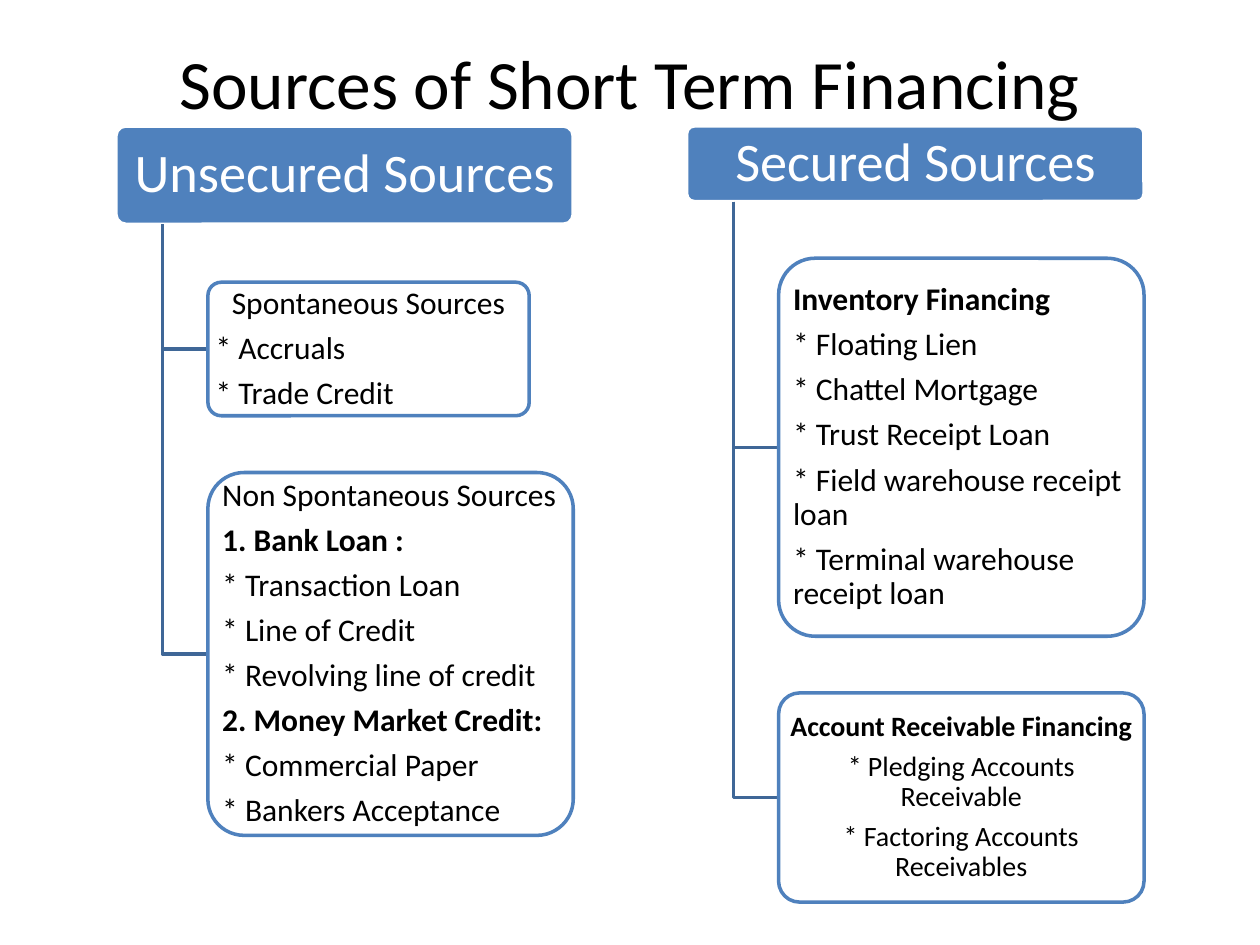
from dataclasses import dataclass

from lxml import etree
from pptx import Presentation
from pptx import util as u
from pptx.dml.color import RGBColor
from pptx.enum import shapes, text
from pptx.oxml.ns import qn


@dataclass(frozen=True)
class Theme:
    """Colours, type sizes and spacing of the slide."""
    font: str = "Calibri"
    ink: str = "000000"
    paper: str = "FFFFFF"
    accent: str = "4F81BD"
    branch: str = "3F6797"
    title_size: float = 39.6
    header_size: float = 31
    item_size: float = 18
    small_size: float = 16
    line_width: float = 2
    corner: float = 0.1
    space_after: float = 0.35
    header_inset: float = 0.06
    source_inset: float = 0.03
    gap: float = 0.45
    trunk_indent: float = 0.37
    box_indent: float = 0.73


THEME = Theme()
LEFT, CENTER = text.PP_ALIGN.LEFT, text.PP_ALIGN.CENTER

UNSECURED = [
    dict(width=2.55, height=1.06, size=THEME.item_size,
         aligns=[CENTER, LEFT, LEFT], bold=(),
         lines=["Spontaneous Sources", "* Accruals", "* Trade Credit"]),
    dict(width=2.9, height=2.88, size=THEME.item_size,
         aligns=[LEFT] * 8, bold=(1, 5),
         lines=["Non Spontaneous Sources", "1. Bank Loan :", "* Transaction Loan",
                "* Line of Credit", "* Revolving line of credit",
                "2. Money Market Credit:", "* Commercial Paper", "* Bankers Acceptance"]),
]
SECURED = [
    dict(width=2.9, height=3, size=THEME.item_size,
         aligns=[LEFT] * 6, bold=(0,),
         lines=["Inventory Financing", "* Floating Lien", "* Chattel Mortgage",
                "* Trust Receipt Loan", "* Field warehouse receipt loan",
                "* Terminal warehouse receipt loan"]),
    dict(width=2.9, height=1.66, size=THEME.small_size,
         aligns=[CENTER] * 3, bold=(0,),
         lines=["Account Receivable Financing", "* Pledging Accounts Receivable",
                "* Factoring Accounts Receivables"]),
]


def set_all(target, values):
    """Set every attribute in values on target."""
    for name, value in values.items():
        setattr(target, name, value)


def write_lines(frame, lines, size, color, aligns, bold=(), inset=0.0, spacing=0.9):
    """Fill a text frame with one paragraph for each line."""
    side, end = u.Inches(inset), u.Inches(max(inset - 0.01, 0))
    set_all(frame, dict(word_wrap=True, vertical_anchor=text.MSO_ANCHOR.MIDDLE,
                        margin_left=side, margin_right=side,
                        margin_top=end, margin_bottom=end))
    for index, (line, align) in enumerate(zip(lines, aligns)):
        paragraph = frame.paragraphs[0] if index == 0 else frame.add_paragraph()
        after = u.Pt(size * THEME.space_after) if index < len(lines) - 1 else u.Pt(0)
        set_all(paragraph, dict(alignment=align, line_spacing=spacing, space_after=after))
        run = paragraph.add_run()
        run.text = line
        set_all(run.font, dict(name=THEME.font, size=u.Pt(size), bold=index in bold))
        run.font.color.rgb = RGBColor.from_string(color)


def set_line(shape, color):
    """Give a shape its outline and no shadow."""
    shape.shadow.inherit = False
    shape.line.color.rgb = RGBColor.from_string(color)
    shape.line.width = u.Pt(THEME.line_width)


def add_card(slide, box, fill, line, opacity=100):
    """Add a rounded rectangle in the given box."""
    card = slide.shapes.add_shape(shapes.MSO_SHAPE.ROUNDED_RECTANGLE, *map(u.Inches, box))
    card.adjustments[0] = THEME.corner
    card.fill.solid()
    card.fill.fore_color.rgb = RGBColor.from_string(fill)
    if opacity < 100:
        tint = card.fill._xPr.find(".//" + qn("a:srgbClr"))
        etree.SubElement(tint, qn("a:alpha"), val=str(opacity * 1000))
    set_line(card, line)
    return card


def add_branch(slide, left, top, right, bottom):
    """Draw the elbow from a header down and across to a source box."""
    elbow = slide.shapes.build_freeform(u.Inches(left), u.Inches(top))
    elbow.add_line_segments([(u.Inches(left), u.Inches(bottom)),
                             (u.Inches(right), u.Inches(bottom))], close=False)
    branch = elbow.convert_to_shape()
    branch.fill.background()
    set_line(branch, THEME.branch)


def add_title(slide, box, title):
    """Place the slide title in the given box."""
    frame = slide.shapes.add_textbox(*map(u.Inches, box)).text_frame
    write_lines(frame, [title], THEME.title_size, THEME.ink, [CENTER], spacing=1.0)


def add_source_tree(slide, box, header, source_top, sources):
    """Place a header in the box and stack its branched sources from source_top."""
    left, top, _, height = box
    header_card = add_card(slide, box, THEME.accent, THEME.paper)
    write_lines(header_card.text_frame, [header], THEME.header_size, THEME.paper,
                [CENTER], inset=THEME.header_inset)
    source_left = left + THEME.box_indent
    for source in sources:
        add_branch(slide, left + THEME.trunk_indent, top + height,
                   source_left, source_top + source["height"] / 2)
        source_box = (source_left, source_top, source["width"], source["height"])
        card = add_card(slide, source_box, THEME.paper, THEME.accent, opacity=90)
        write_lines(card.text_frame, source["lines"], source["size"], THEME.ink,
                    source["aligns"], source["bold"], THEME.source_inset)
        source_top += source["height"] + THEME.gap


def main():
    """Build the slide and save it."""
    deck = Presentation()
    set_all(deck, dict(slide_width=u.Inches(10), slide_height=u.Inches(7.5)))
    slide = deck.slides.add_slide(deck.slide_layouts[6])
    add_title(slide, (0.5, 0.3, 9, 0.7), "Sources of Short Term Financing")
    add_source_tree(slide, (0.92, 1, 3.63, 0.78), "Unsecured Sources", 2.24, UNSECURED)
    add_source_tree(slide, (5.45, 1, 3.63, 0.6), "Secured Sources", 2.05, SECURED)
    deck.save("out.pptx")


if __name__ == "__main__":
    main()
